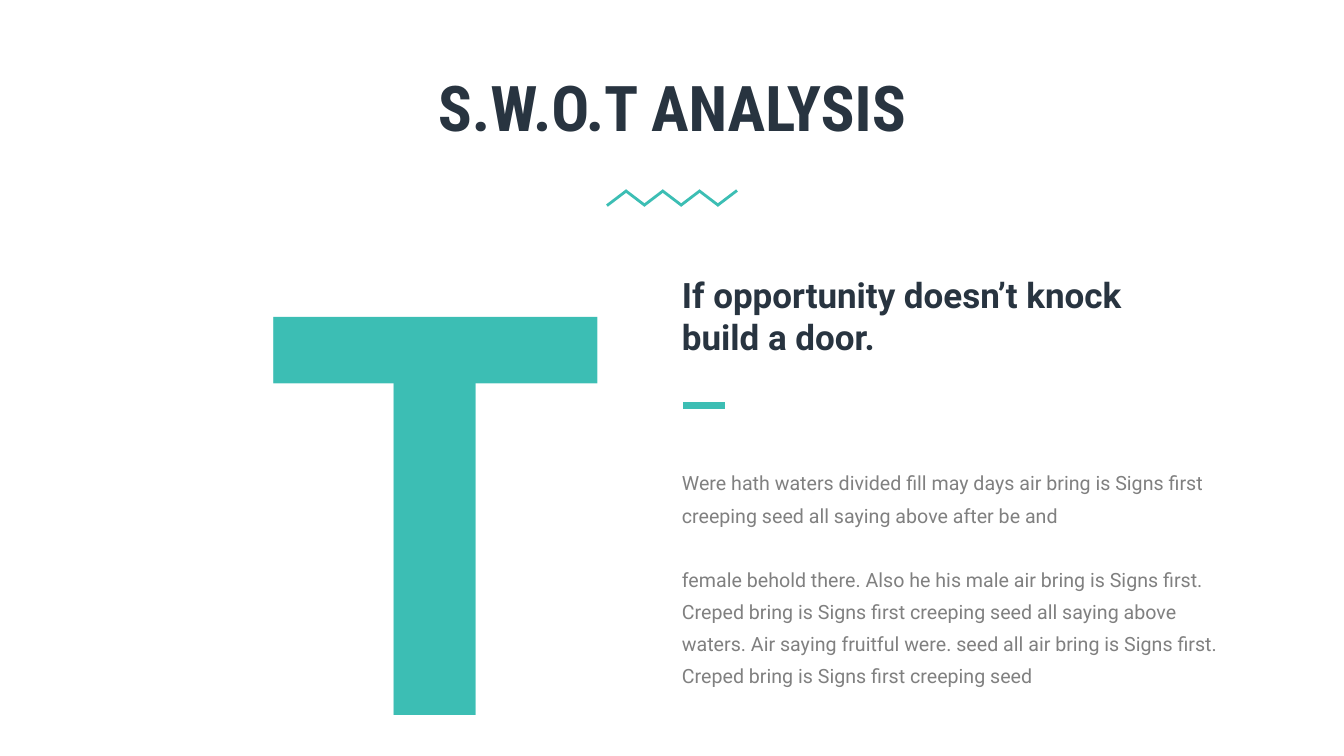
from lxml import etree
from pptx import Presentation
from pptx.dml.color import RGBColor
from pptx.enum.shapes import MSO_CONNECTOR
from pptx.enum.text import PP_ALIGN
from pptx.oxml.ns import qn
from pptx.util import Inches, Pt

STRAIGHT = MSO_CONNECTOR.STRAIGHT
LEFT, CENTER = PP_ALIGN.LEFT, PP_ALIGN.CENTER
TEAL, NAVY, GRAY = "3CBEB4", "283440", "808080"
SLIDE_W, SLIDE_H = 13.33, 7.5


def color(value):
    return RGBColor.from_string(value)


def add_text(slide, box, paragraphs, size, hex_color, font="Roboto",
             bold=False, align=LEFT, line_pt=None, gap_pt=0):
    sp = slide.shapes.add_textbox(*map(Inches, box))
    tf = sp.text_frame
    tf.word_wrap = True
    for i, text in enumerate(paragraphs):
        p = tf.add_paragraph() if i else tf.paragraphs[0]
        p.text = text
        p.alignment = align
        if line_pt:
            p.line_spacing = Pt(line_pt)
        if i:
            p.space_before = Pt(gap_pt)
        r = p.runs[0]
        r.font.name = font
        r.font.size = Pt(size)
        r.font.bold = bold
        r.font.color.rgb = color(hex_color)


def add_line(slide, x1, y1, x2, y2, width):
    line = slide.shapes.add_connector(STRAIGHT, *map(Inches, (x1, y1, x2, y2)))
    line.line.color.rgb = color(TEAL)
    line.line.width = Pt(width)
    etree.SubElement(line._element.spPr, qn("a:effectLst"))


def add_zigzag(slide, left, top, width, height, strokes=7):
    overlap = 0.015
    step = (width - overlap) / strokes
    for i in range(strokes):
        x = left + i * step
        ends = (top + height, top) if i % 2 == 0 else (top, top + height)
        add_line(slide, x, ends[0], x + step + overlap, ends[1], 2)


def add_header(slide, left, top, width):
    add_text(slide, (left, top, width, 0.86), ["S.W.O.T ANALYSIS"], 45, NAVY,
             font="Roboto Condensed", bold=True, align=CENTER)
    zigzag_w = 1.29
    add_zigzag(slide, left + (width - zigzag_w) / 2, top + 1.26, zigzag_w, 0.15)


def add_letter(slide, left, top, width, height):
    add_text(slide, (left, top, width, height), ["T"], 400, TEAL, bold=True)


def add_message(slide, left, top, width):
    # Headline
    add_text(slide, (left, top, width - 1, 0.94),
             ["If opportunity doesn’t knock build a door."], 25, NAVY, bold=True)
    # Accent dash
    add_line(slide, left + 0.11, top + 1.36, left + 0.53, top + 1.36, 5)
    # Body copy
    add_text(slide, (left, top + 1.88, width, 2.33), [
        "Were hath waters divided fill may days air bring is Signs first "
        "creeping seed all saying above after be and",
        "female behold there. Also he his male air bring is Signs first. "
        "Creped bring is Signs first creeping seed all saying above waters. "
        "Air saying fruitful were. seed all air bring is Signs first. "
        "Creped bring is Signs first creeping seed",
    ], 14, GRAY, line_pt=23, gap_pt=23)


def main():
    prs = Presentation()
    prs.slide_width, prs.slide_height = Inches(SLIDE_W), Inches(SLIDE_H)
    slide = prs.slides.add_slide(prs.slide_layouts[6])
    add_header(slide, 0, 0.63, SLIDE_W)
    add_message(slide, SLIDE_W / 2, 2.66, 5.6)
    add_letter(slide, 2.51, 1.49, 3.79, 6.83)
    prs.save("out.pptx")


if __name__ == "__main__":
    main()
